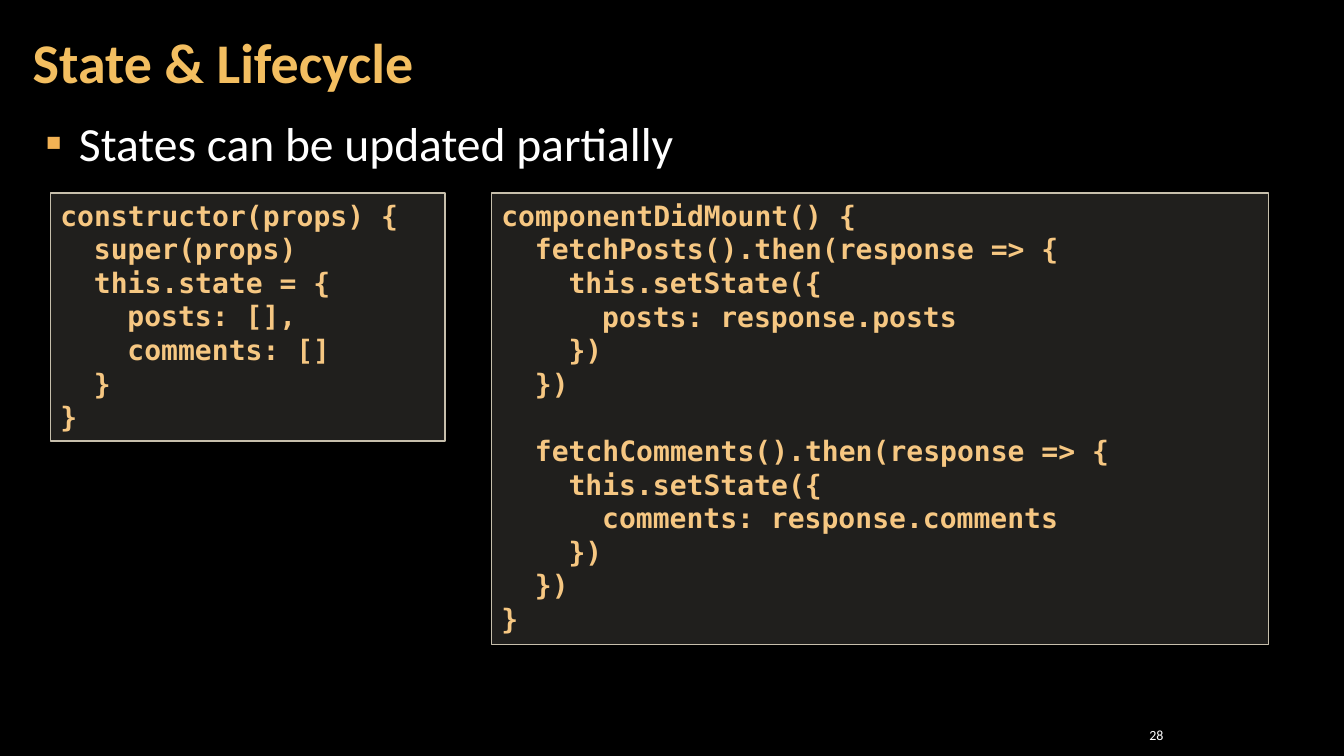
from lxml.etree import SubElement
from pptx import Presentation
from pptx.dml.color import RGBColor
from pptx.enum.shapes import MSO_SHAPE
from pptx.enum.text import MSO_ANCHOR, MSO_AUTO_SIZE, PP_ALIGN
from pptx.oxml.ns import qn
from pptx.util import Pt

CELL = Pt(6)
COLUMNS, ROWS = 160, 90
COLORS = {
    "background": "000000",
    "title": "F3BE60",
    "text": "FFFFFF",
    "bullet": "F2B254",
    "code": "F6C782",
    "panel": "D9D5C7",
    "border": "C7BFAC",
}
FONTS = {
    "title": {"name": "Calibri", "size": Pt(40), "bold": True},
    "text": {"name": "Calibri", "size": Pt(34)},
    "number": {"name": "Calibri", "size": Pt(10)},
    "code": {"name": "DejaVu Sans Mono", "size": Pt(20), "bold": True},
}
CONSTRUCTOR = """constructor(props) {
  super(props)
  this.state = {
    posts: [],
    comments: []
  }
}"""
DID_MOUNT = """componentDidMount() {
  fetchPosts().then(response => {
    this.setState({
      posts: response.posts
    })
  })

  fetchComments().then(response => {
    this.setState({
      comments: response.comments
    })
  })
}"""


def cells(count):
    """Return the length of a number of grid cells."""
    return round(count * CELL)


def color(name):
    """Return a named colour."""
    return RGBColor.from_string(COLORS[name])


def apply(target, values):
    """Set attributes from a dict of format values."""
    for name, value in values.items():
        setattr(target, name, value)


def set_frame(shape, inset_x, inset_y, **values):
    """Set the insets and layout of a text frame and return it."""
    frame = shape.text_frame
    apply(frame, {
        "word_wrap": True,
        "margin_left": cells(inset_x),
        "margin_right": cells(inset_x),
        "margin_top": cells(inset_y),
        "margin_bottom": cells(inset_y),
        **values,
    })
    return frame


def write(para, text, font, tint, **values):
    """Write one formatted span into a paragraph."""
    apply(para, values)
    span = para.add_run()
    span.text = text
    apply(span.font, FONTS[font])
    span.font.color.rgb = color(tint)


def add_text(page, box, inset_x=1.4, **values):
    """Add a text box and return its first paragraph."""
    shape = page.shapes.add_textbox(*map(cells, box))
    return set_frame(shape, inset_x, 0.5, **values).paragraphs[0]


def add_title(page, box, text):
    """Add the slide title."""
    para = add_text(page, box, vertical_anchor=MSO_ANCHOR.MIDDLE)
    write(para, text, "title", "title", line_spacing=0.9)


def add_bullet(page, box, text):
    """Add the bulleted statement."""
    para = add_text(page, box)
    write(para, text, "text", "text", space_before=Pt(6), space_after=Pt(6))
    properties = para._p.get_or_add_pPr()
    properties.set("marL", str(cells(4)))
    properties.set("indent", str(cells(-4)))
    tint = SubElement(properties, qn("a:buClr"))
    SubElement(tint, qn("a:srgbClr"), val=COLORS["bullet"])
    SubElement(properties, qn("a:buFont"), typeface="Calibri")
    SubElement(properties, qn("a:buChar"), char="▪")


def add_number(page, box, text):
    """Add the slide number."""
    para = add_text(page, box, 0.5, vertical_anchor=MSO_ANCHOR.MIDDLE)
    write(para, text, "number", "text", alignment=PP_ALIGN.RIGHT)


def add_code(page, box, code):
    """Add a translucent code panel, indented by nesting level."""
    panel = page.shapes.add_shape(MSO_SHAPE.RECTANGLE, *map(cells, box))
    panel.shadow.inherit = False
    panel.fill.solid()
    panel.fill.fore_color.rgb = color("panel")
    tint = panel.fill._xPr.find(qn("a:solidFill"))[0]
    SubElement(tint, qn("a:alpha"), val="15000")
    panel.line.color.rgb = color("border")
    panel.line.width = Pt(1)
    frame = set_frame(panel, 1.2, 0.6, vertical_anchor=MSO_ANCHOR.TOP,
                      auto_size=MSO_AUTO_SIZE.SHAPE_TO_FIT_TEXT)
    for block_index, block in enumerate(code.split("\n\n")):
        for line_index, line in enumerate(block.splitlines()):
            first = block_index == line_index == 0
            para = frame.paragraphs[0] if first else frame.add_paragraph()
            gap = cells(4) if block_index and not line_index else 0
            text = line.lstrip()
            level = (len(line) - len(text)) // 2
            write(para, text, "code", "code", alignment=PP_ALIGN.LEFT, space_before=gap)
            properties = para._p.get_or_add_pPr()
            properties.set("marL", str(cells(4 * level)))
            properties.set("indent", "0")


def build_code_slide(deck):
    """Build the slide with a statement and two code panels."""
    page = deck.slides.add_slide(deck.slide_layouts[6])
    page.background.fill.solid()
    page.background.fill.fore_color.rgb = color("background")
    add_title(page, (2.5, 0.5, 125.6, 14.5), "State & Lifecycle")
    add_bullet(page, (4, 13, 156, 74), "States can be updated partially")
    add_number(page, (133, 86, 6, 3), "28")
    add_code(page, (6, 23, 47, 29.5), CONSTRUCTOR)
    add_code(page, (58.5, 23, 92.5, 53.75), DID_MOUNT)


def main():
    """Create and save the deck."""
    deck = Presentation()
    apply(deck, {"slide_width": cells(COLUMNS), "slide_height": cells(ROWS)})
    build_code_slide(deck)
    deck.save("out.pptx")


if __name__ == "__main__":
    main()
